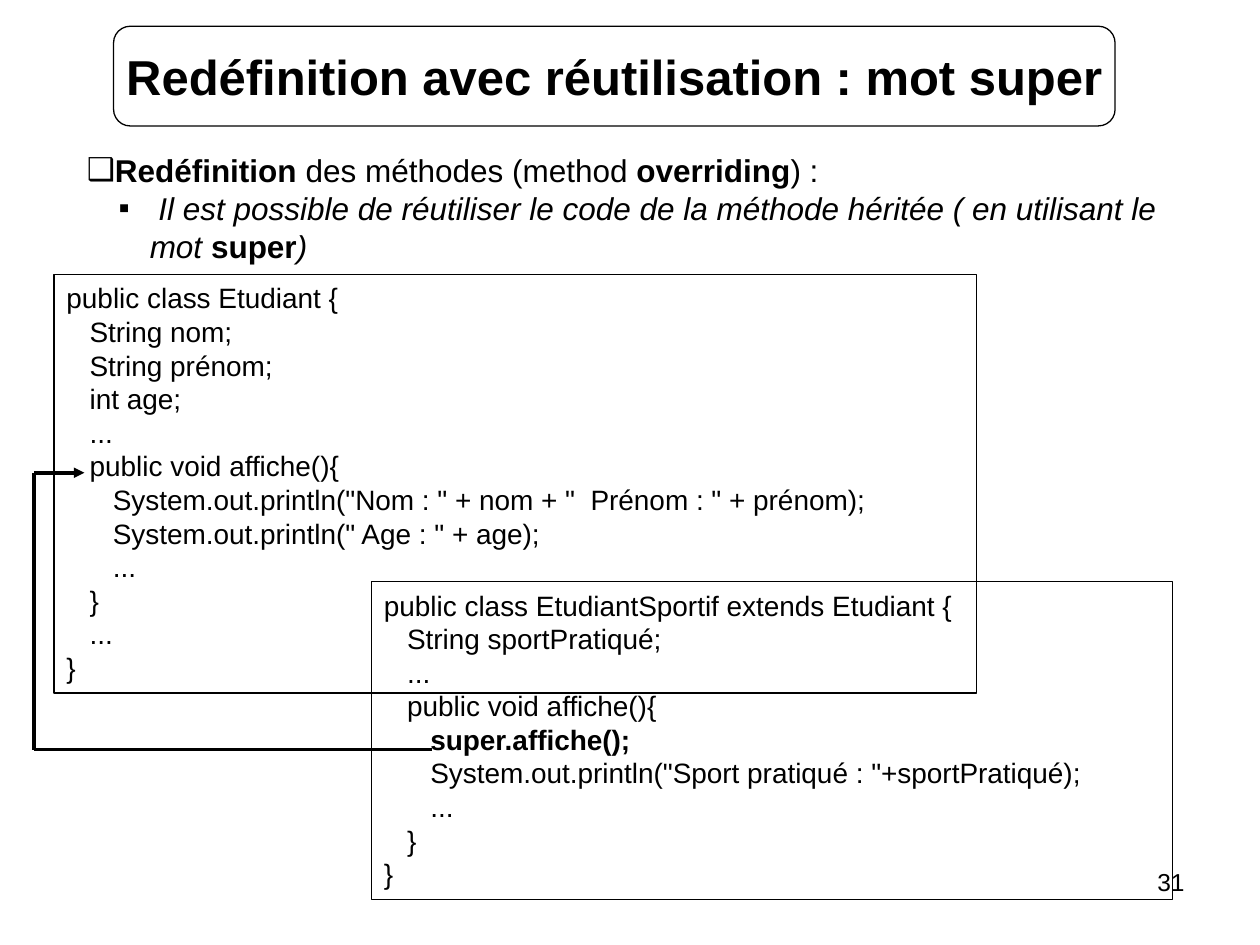
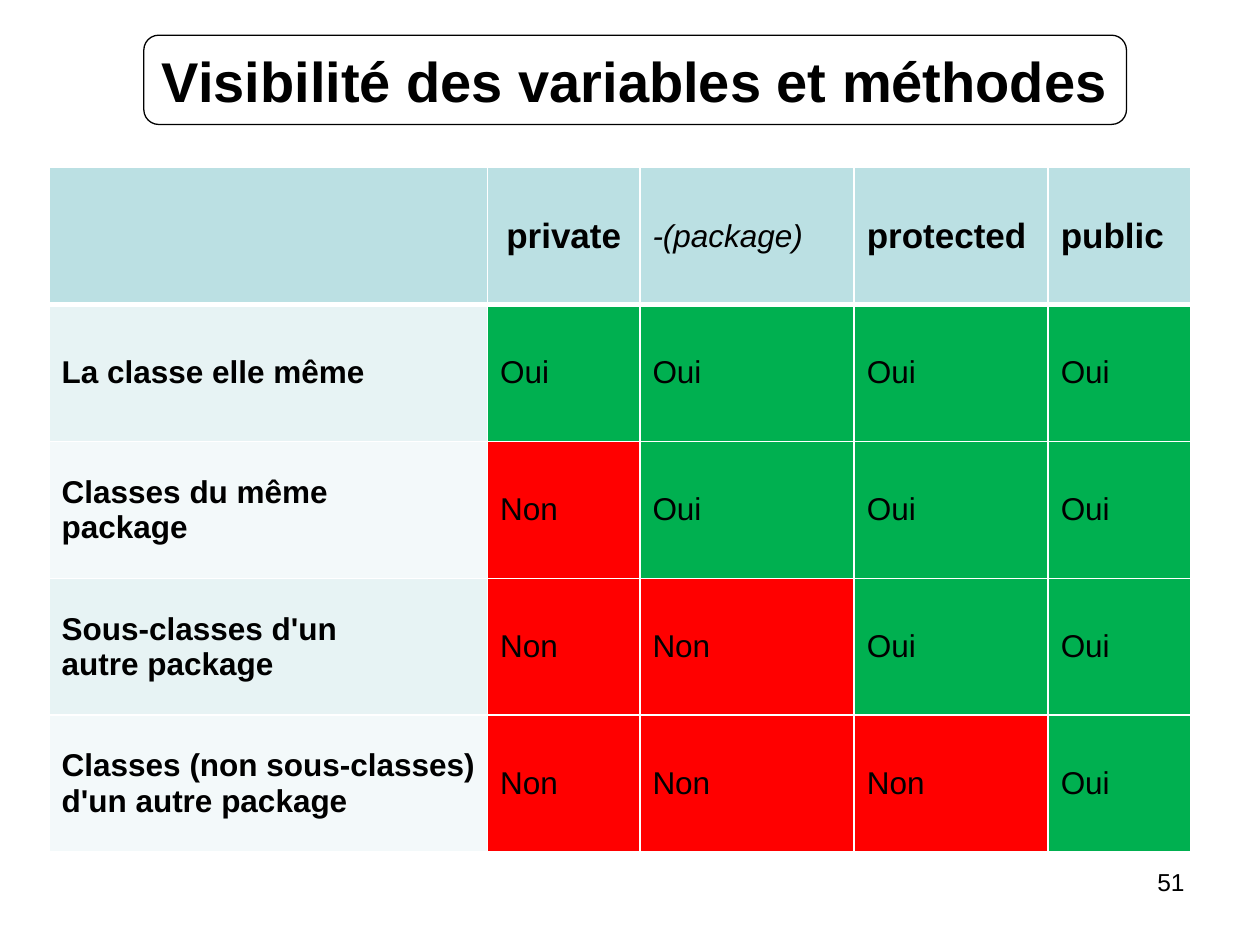
import pptx
import pptx.util
import pptx.dml.color
import pptx.enum.shapes
import pptx.enum.text
import pptx.oxml.ns
from lxml import etree

Cm = pptx.util.Cm
Pt = pptx.util.Pt
RGBColor = pptx.dml.color.RGBColor
SHAPE = pptx.enum.shapes.MSO_SHAPE
ALIGN = pptx.enum.text.PP_ALIGN
ANCHOR = pptx.enum.text.MSO_ANCHOR
qn = pptx.oxml.ns.qn

BLACK = RGBColor(0x00, 0x00, 0x00)
WHITE = RGBColor(0xFF, 0xFF, 0xFF)
HEADER = RGBColor(0xBB, 0xE0, 0xE3)
BANDS = [RGBColor(0xE7, 0xF3, 0xF4), RGBColor(0xF3, 0xF9, 0xFA)]
GREEN = RGBColor(0x00, 0xB0, 0x50)
RED = RGBColor(0xFF, 0x00, 0x00)
FONT = "Arial"

ETUDIANT = """public class Etudiant {
   String nom;
   String prénom;
   int age;
   ...
   public void affiche(){
      System.out.println("Nom : " + nom + "  Prénom : " + prénom);
      System.out.println(" Age : " + age);
      ...
   }
   ...
}"""

ETUDIANT_SPORTIF = """public class EtudiantSportif extends Etudiant {
   String sportPratiqué;
   ...
   public void affiche(){
      super.affiche();
      System.out.println("Sport pratiqué : "+sportPratiqué);
      ...
   }
}"""

VISIBILITY = [
    ("La classe elle même", "Oui Oui Oui Oui"),
    ("Classes du même\npackage", "Non Oui Oui Oui"),
    ("Sous-classes d'un\nautre package", "Non Non Oui Oui"),
    ("Classes (non sous-classes)\nd'un autre package", "Non Non Non Oui"),
]


def add_run(p, text, size=18, bold=False, italic=False):
    r = p.add_run()
    r.text = text
    r.font.name = FONT
    r.font.size = Pt(size)
    r.font.bold = bold
    r.font.italic = italic
    r.font.color.rgb = BLACK


def next_paragraph(tf, index):
    return tf.add_paragraph() if index else tf.paragraphs[0]


def add_lines(tf, text, align=ALIGN.LEFT, bold_line=None, **style):
    for i, line in enumerate(text.split("\n")):
        p = next_paragraph(tf, i)
        p.alignment = align
        if bold_line is not None:
            style["bold"] = line.strip() == bold_line
        add_run(p, line, **style)


def add_frame(s, kind, box):
    sp = s.shapes.add_shape(kind, *map(Cm, box))
    sp.shadow.inherit = False
    sp.fill.background()
    sp.line.color.rgb = BLACK
    sp.line.width = Pt(0.75)
    return sp


def add_text_area(s, box):
    tf = s.shapes.add_textbox(*map(Cm, box)).text_frame
    tf.word_wrap = True
    return tf


def add_title(s, text, box, size):
    tf = add_frame(s, SHAPE.ROUNDED_RECTANGLE, box).text_frame
    tf.word_wrap = False
    tf.vertical_anchor = ANCHOR.MIDDLE
    add_lines(tf, text, ALIGN.CENTER, size=size, bold=True)


def add_page_number(s, number):
    tf = add_text_area(s, (18.21, 17.35, 5.92, 1.32))
    add_lines(tf, str(number), ALIGN.RIGHT, size=14)


def add_code(s, code, box, bold_line=None):
    tf = add_frame(s, SHAPE.RECTANGLE, box).text_frame
    tf.word_wrap = True
    tf.vertical_anchor = ANCHOR.TOP
    add_lines(tf, code, size=16, bold_line=bold_line)


def set_bullet(p, char, margin=0, indent=0):
    pPr = p._p.get_or_add_pPr()
    pPr.set("marL", str(Cm(margin)))
    pPr.set("indent", str(Cm(indent)))
    etree.SubElement(pPr, qn("a:buFont")).set("typeface", FONT)
    etree.SubElement(pPr, qn("a:buChar")).set("char", char)


def add_points(s, box):
    tf = add_text_area(s, box)
    p = next_paragraph(tf, 0)
    set_bullet(p, "❑")
    add_run(p, "Redéfinition ", bold=True)
    add_run(p, "des méthodes (method ")
    add_run(p, "overriding", bold=True)
    add_run(p, ") :")
    p = next_paragraph(tf, 1)
    p.level = 1
    set_bullet(p, "▪", margin=1.27, indent=-0.63)
    add_run(p, " Il est possible de réutiliser le code de la méthode héritée "
               "( en utilisant le mot ", italic=True)
    add_run(p, "super", bold=True)
    add_run(p, ")", italic=True)


def add_call_arrow(s, box, tip):
    x, y, w, h = box
    points = [(x + w, y + h), (x, y + h), (x, y), (x + tip, y)]
    group = s.shapes.add_group_shape()
    for start, end in zip(points, points[1:]):
        line = group.shapes.add_connector(
            pptx.enum.shapes.MSO_CONNECTOR.STRAIGHT, *map(Cm, start + end))
        line.line.color.rgb = BLACK
        line.line.width = Pt(2)
        if end == points[-1]:
            ln = line.line._get_or_add_ln()
            etree.SubElement(ln, qn("a:tailEnd")).set("type", "triangle")
        etree.SubElement(line._element.spPr, qn("a:effectLst"))


def set_borders(cell, **widths):
    tcPr = cell._tc.get_or_add_tcPr()
    for side in "LRTB":
        ln = etree.SubElement(tcPr, qn("a:ln" + side))
        ln.set("w", str(Pt(widths.get(side, 1))))
        fill = etree.SubElement(ln, qn("a:solidFill"))
        etree.SubElement(fill, qn("a:srgbClr")).set("val", str(WHITE))


def fill_cell(cell, text, color, align=ALIGN.LEFT, borders={}, **style):
    set_borders(cell, **borders)
    cell.fill.solid()
    cell.fill.fore_color.rgb = color
    cell.vertical_anchor = ANCHOR.MIDDLE
    if text:
        add_lines(cell.text_frame, text, align, **style)


def add_visibility_table(s, left, top, widths, row_height):
    rows = len(VISIBILITY) + 1
    table = s.shapes.add_table(
        rows, len(widths), Cm(left), Cm(top),
        Cm(sum(widths)), Cm(rows * row_height)).table
    for column, width in zip(table.columns, widths):
        column.width = Cm(width)
    for row in table.rows:
        row.height = Cm(row_height)

    big = dict(size=20, bold=True)
    headers = [("", {}), ("private", dict(big, align=ALIGN.CENTER)),
               ("-(package)", dict(italic=True)),
               ("protected", big), ("public", big)]
    for c, (text, style) in enumerate(headers):
        fill_cell(table.cell(0, c), text, HEADER, borders={"B": 3}, **style)

    for i, (label, answers) in enumerate(VISIBILITY):
        top_border = {"T": 1 if i else 3}
        fill_cell(table.cell(i + 1, 0), label, BANDS[i % 2],
                  borders=top_border, bold=True)
        for c, answer in enumerate(answers.split(), 1):
            color = GREEN if answer == "Oui" else RED
            fill_cell(table.cell(i + 1, c), answer, color, borders=top_border)


def build_super_slide(s):
    add_title(s, "Redéfinition avec réutilisation : mot super",
              (2.29, 0.53, 20.19, 2.01), 28)
    add_points(s, (1.5, 2.92, 22.81, 2.54))
    add_code(s, ETUDIANT, (1.09, 5.54, 18.59, 8.43))
    add_code(s, ETUDIANT_SPORTIF, (7.49, 11.73, 16.15, 6.4),
             bold_line="super.affiche();")
    add_call_arrow(s, (0.69, 9.53, 8.02, 5.58), tip=1.01)
    add_page_number(s, 31)


def build_visibility_slide(s):
    add_page_number(s, 51)
    add_title(s, "Visibilité des variables et méthodes",
              (2.9, 0.71, 19.81, 1.8), 32)
    add_visibility_table(s, 0.99, 3.38, [8.84, 3.07, 4.32, 3.91, 2.87], 2.76)


def main():
    prs = pptx.Presentation()
    prs.slide_width = Cm(25.4)
    prs.slide_height = Cm(19.05)
    for build in (build_super_slide, build_visibility_slide):
        build(prs.slides.add_slide(prs.slide_layouts[6]))
    prs.save("out.pptx")


if __name__ == "__main__":
    main()
